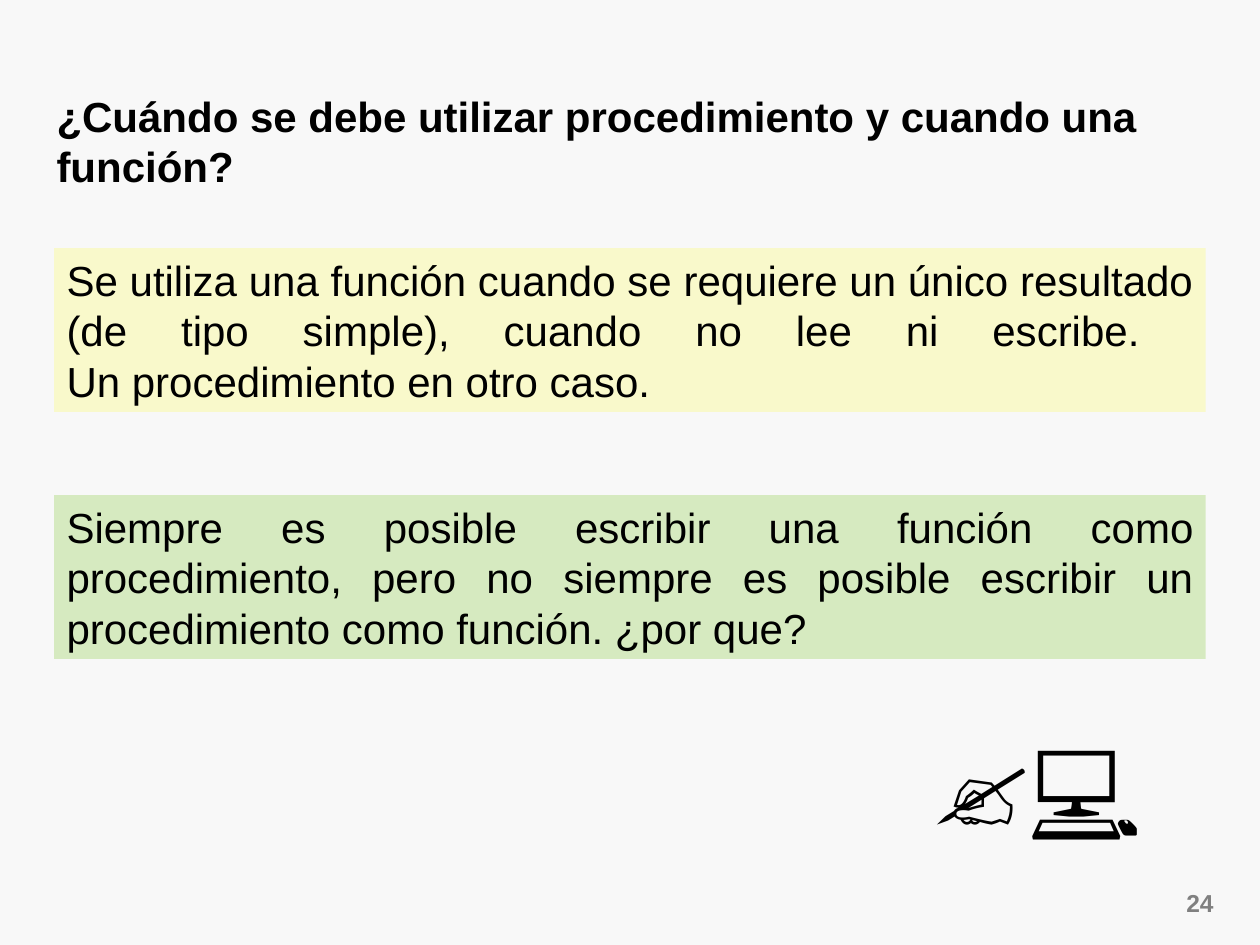
from lxml import etree
from pptx import Presentation
from pptx.dml.color import RGBColor
from pptx.enum import shapes, text
from pptx.oxml.ns import qn
from pptx.util import Inches, Pt

BACKGROUND = RGBColor(0xF8, 0xF8, 0xF8)
BLACK = RGBColor(0, 0, 0)
GRAY = RGBColor(0x80, 0x80, 0x80)
YELLOW = RGBColor(0xFF, 0xFF, 0x00)
GREEN = RGBColor(0x92, 0xD0, 0x50)

LEFT, RIGHT, JUSTIFY = (text.PP_ALIGN.LEFT, text.PP_ALIGN.RIGHT,
                        text.PP_ALIGN.JUSTIFY)

# Content: wording, box (left, top, width, height), alignment, font
LABELS = [
    ("24", (9.08, 7, 0.65, 0.34), RIGHT,
     {"size": Pt(14), "bold": True, "color": GRAY}),
    ("¿Cuándo se debe utilizar procedimiento y cuando una función?",
     (0.35, 0.67, 9.45, 0.9), LEFT, {"size": Pt(24), "bold": True}),
    ("✍💻", (7.31, 5.65, 2.73, 1.1), LEFT, {"size": Pt(60)}),
]
# Content: wording, colour, opacity in percent
RULES = [
    ("Se utiliza una función cuando se requiere un único resultado "
     "(de tipo simple), cuando no lee ni escribe. \v"
     "Un procedimiento en otro caso.", YELLOW, 18),
    ("Siempre es posible escribir una función como procedimiento, pero no "
     "siempre es posible escribir un procedimiento como función. ¿por que?",
     GREEN, 33),
]
RULE_LEFT, RULE_TOP, RULE_WIDTH, RULE_HEIGHT = 0.43, 1.97, 9.14, 1.3
RULE_STEP = 1.96


def write(shape, wording, align, font):
    frame = shape.text_frame
    frame.word_wrap = True
    frame.auto_size = text.MSO_AUTO_SIZE.SHAPE_TO_FIT_TEXT
    frame.vertical_anchor = text.MSO_ANCHOR.TOP
    paragraph = frame.paragraphs[0]
    paragraph.text = wording
    paragraph.alignment = align
    look = {"name": "Arial", "color": BLACK, **font}
    color = look.pop("color")
    for run in paragraph.runs:
        run.font.color.rgb = color
        for key, value in look.items():
            setattr(run.font, key, value)


def fill_tint(shape, color, opacity):
    shape.fill.solid()
    shape.fill.fore_color.rgb = color
    rgb = shape.element.spPr.find(qn("a:solidFill")).find(qn("a:srgbClr"))
    etree.SubElement(rgb, qn("a:alpha"), val=str(opacity * 1000))


prs = Presentation()
prs.slide_width, prs.slide_height = Inches(10), Inches(7.5)
slide = prs.slides.add_slide(prs.slide_layouts[6])
slide.background.fill.solid()
slide.background.fill.fore_color.rgb = BACKGROUND

# Page number, title and symbols
for wording, box, align, font in LABELS:
    label = slide.shapes.add_textbox(*map(Inches, box))
    write(label, wording, align, font)

# Coloured rule boxes
for row, (wording, color, opacity) in enumerate(RULES):
    box = (RULE_LEFT, RULE_TOP + row * RULE_STEP, RULE_WIDTH, RULE_HEIGHT)
    rule = slide.shapes.add_shape(shapes.MSO_SHAPE.RECTANGLE,
                                  *map(Inches, box))
    rule.shadow.inherit = False
    fill_tint(rule, color, opacity)
    rule.line.fill.background()
    write(rule, wording, JUSTIFY, {"size": Pt(24)})

prs.save("out.pptx")
